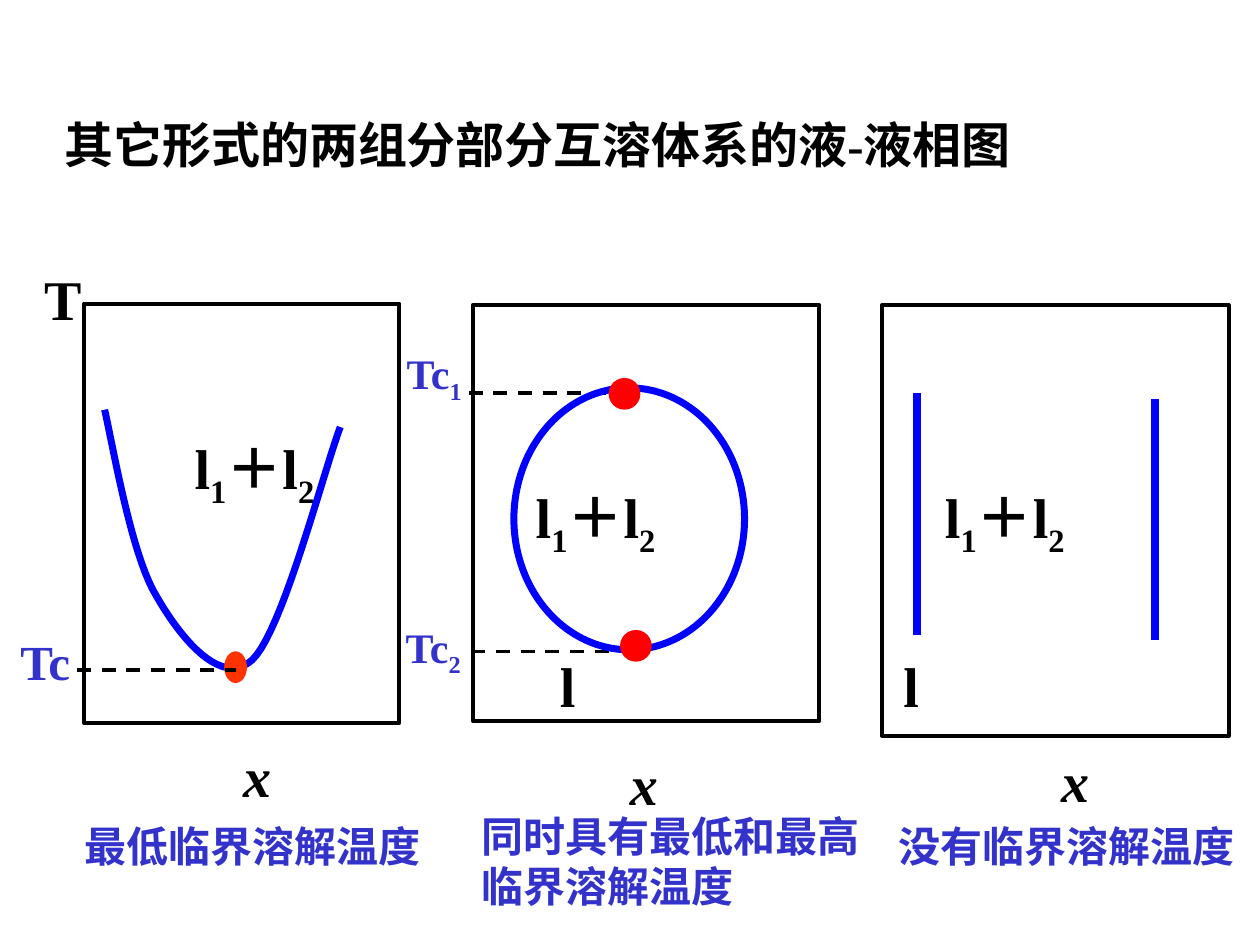
from lxml import etree
from pptx import Presentation
from pptx.dml.color import RGBColor
from pptx.enum.dml import MSO_LINE
from pptx.enum.shapes import MSO_CONNECTOR, MSO_SHAPE
from pptx.enum.text import PP_ALIGN
from pptx.oxml.ns import qn
from pptx.util import Cm, Pt

RECT, OVAL = MSO_SHAPE.RECTANGLE, MSO_SHAPE.OVAL
STRAIGHT, DASH = MSO_CONNECTOR.STRAIGHT, MSO_LINE.DASH
LEFT, CENTER = PP_ALIGN.LEFT, PP_ALIGN.CENTER
FONT = "Times New Roman"
BLACK, BLUE, VIOLET = "000000", "0000FF", "3333CC"
RED, ORANGE = "FF0000", "FF3300"


def rgb(color):
    """Turn a hex string into a colour."""
    return RGBColor.from_string(color)


def add_run(p, text, size, color, italic, subscript=False):
    """Append one bold run to a paragraph."""
    if not text:
        return
    r = p.add_run()
    r.text = text
    r.font.name = FONT
    r.font.size = Pt(size)
    r.font.bold = True
    r.font.italic = italic
    r.font.color.rgb = rgb(color)
    if subscript:
        r._r.get_or_add_rPr().set("baseline", "-25000")


def add_text(s, text, x, y, w, h, size=32, color=BLACK, italic=False, align=LEFT):
    """Add a text box; an underscore makes the next character a subscript."""
    tf = s.shapes.add_textbox(Cm(x), Cm(y), Cm(w), Cm(h)).text_frame
    tf.word_wrap = True
    tf.margin_left = tf.margin_right = tf.margin_top = tf.margin_bottom = 0
    for i, line in enumerate(text.split("\n")):
        p = tf.add_paragraph() if i else tf.paragraphs[0]
        p.alignment = align
        first, *rest = line.split("_")
        add_run(p, first, size, color, italic)
        for part in rest:
            add_run(p, part[0], size, color, italic, subscript=True)
            add_run(p, part[1:], size, color, italic)


def style_outline(sp, color, width):
    """Give a shape an outline without fill or shadow."""
    sp.shadow.inherit = False
    sp.fill.background()
    sp.line.color.rgb = rgb(color)
    sp.line.width = Pt(width)


def add_outline(s, kind, x, y, w, h, color=BLACK, width=2.25):
    """Add an unfilled preset shape."""
    sp = s.shapes.add_shape(kind, Cm(x), Cm(y), Cm(w), Cm(h))
    style_outline(sp, color, width)


def add_dot(s, x, y, w=0.64, color=RED):
    """Add a filled critical point."""
    sp = s.shapes.add_shape(OVAL, Cm(x), Cm(y), Cm(w), Cm(0.64))
    sp.shadow.inherit = False
    sp.fill.solid()
    sp.fill.fore_color.rgb = rgb(color)
    sp.line.fill.background()


def add_line(s, x1, y1, x2, y2, color=BLACK, width=2, dash=None):
    """Add a straight connector."""
    sp = s.shapes.add_connector(STRAIGHT, Cm(x1), Cm(y1), Cm(x2), Cm(y2))
    sp.line.color.rgb = rgb(color)
    sp.line.width = Pt(width)
    sp.line.dash_style = dash
    etree.SubElement(sp._element.spPr, qn("a:effectLst"))


def bezier(a, b, c, d, steps=20):
    """Return points along a cubic curve, without its start."""
    points = []
    for i in range(1, steps + 1):
        t = i / steps
        u = 1 - t
        weights = (u ** 3, 3 * u * u * t, 3 * u * t * t, t ** 3)
        points.append(tuple(Cm(sum(k * q[axis] for k, q in zip(weights, (a, b, c, d))))
                            for axis in (0, 1)))
    return points


def add_curve(s, nodes, color, width):
    """Add an open curve through chained cubic segments."""
    builder = s.shapes.build_freeform(Cm(nodes[0][0]), Cm(nodes[0][1]), scale=1.0)
    for i in range(0, len(nodes) - 1, 3):
        builder.add_line_segments(bezier(*nodes[i:i + 4]), close=False)
    style_outline(builder.convert_to_shape(), color, width)


def add_region(s, x, y, align=LEFT):
    """Label a two-phase region."""
    add_text(s, "l_1＋l_2", x, y, 4.88, 1.55, align=align)


def add_axis(s, x, y):
    """Label a composition axis."""
    add_text(s, "x", x, y, 3.18, 1.35, italic=True)


def add_caption(s, text, x, y, w=10.8, h=1.02):
    """Add a caption below a diagram."""
    add_text(s, text, x, y, w, h, size=24, color=VIOLET)


def add_lower_diagram(s):
    """Draw the system with a lowest critical temperature."""
    add_outline(s, RECT, 1.7, 6.12, 6.35, 8.46)
    add_curve(s, [(2.11, 8.26), (2.26, 8.89), (2.64, 11.18), (3.15, 12.01),
                  (3.63, 12.85), (4.45, 13.87), (5.08, 13.31),
                  (5.69, 12.75), (6.5, 9.58), (6.86, 8.61)], BLUE, 4)
    add_text(s, "T", 0.89, 5.33, 1.24, 1.35)
    add_region(s, 2.69, 8.74, CENTER)
    add_dot(s, 4.52, 13.13, w=0.46, color=ORANGE)
    add_line(s, 1.55, 13.51, 4.75, 13.51, dash=DASH)
    add_text(s, "Tc", 0.41, 12.73, 2.11, 1.19, size=28, color=VIOLET)
    add_axis(s, 4.9, 14.94)
    add_caption(s, "最低临界溶解温度", 1.7, 16.54)


def add_closed_diagram(s):
    """Draw the system with both critical temperatures."""
    add_line(s, 9.5, 13.13, 12.9, 13.13, dash=DASH)
    add_line(s, 9.45, 7.92, 12.85, 7.92, dash=DASH)
    add_outline(s, RECT, 9.53, 6.15, 6.99, 8.38)
    add_outline(s, OVAL, 10.36, 7.82, 4.65, 5.28, BLUE, 4)
    add_dot(s, 12.27, 7.62)
    add_dot(s, 12.5, 12.7)
    add_region(s, 10.8, 9.73)
    add_text(s, "l", 9.96, 13.13, 2.97, 1.35, align=CENTER)
    add_text(s, "Tc_1", 8.2, 7.01, 2.11, 1.17, size=24, color=VIOLET)
    add_text(s, "Tc_2", 8.18, 12.52, 2.11, 1.17, size=24, color=VIOLET)
    add_axis(s, 12.7, 15.11)
    add_caption(s, "同时具有最低和最高\n临界溶解温度", 9.7, 16.33, h=2.03)


def add_open_diagram(s):
    """Draw the system without a critical temperature."""
    add_outline(s, RECT, 17.78, 6.15, 6.99, 8.69)
    add_line(s, 18.49, 7.92, 18.49, 12.8, BLUE, 4.5)
    add_line(s, 23.29, 8.05, 23.29, 12.9, BLUE, 4.5)
    add_region(s, 19.05, 9.73)
    add_text(s, "l", 18.21, 13.13, 2.97, 1.35)
    add_axis(s, 21.39, 15.04)
    add_caption(s, "没有临界溶解温度", 18.11, 16.54, w=7.8)


def main():
    """Build and save the slide."""
    prs = Presentation()
    prs.slide_width, prs.slide_height = Cm(25.4), Cm(19.05)
    s = prs.slides.add_slide(prs.slide_layouts[6])
    add_text(s, "其它形式的两组分部分互溶体系的液-液相图", 1.3, 2.31, 22.28, 1.19, size=28)
    add_lower_diagram(s)
    add_closed_diagram(s)
    add_open_diagram(s)
    prs.save("out.pptx")


if __name__ == "__main__":
    main()
